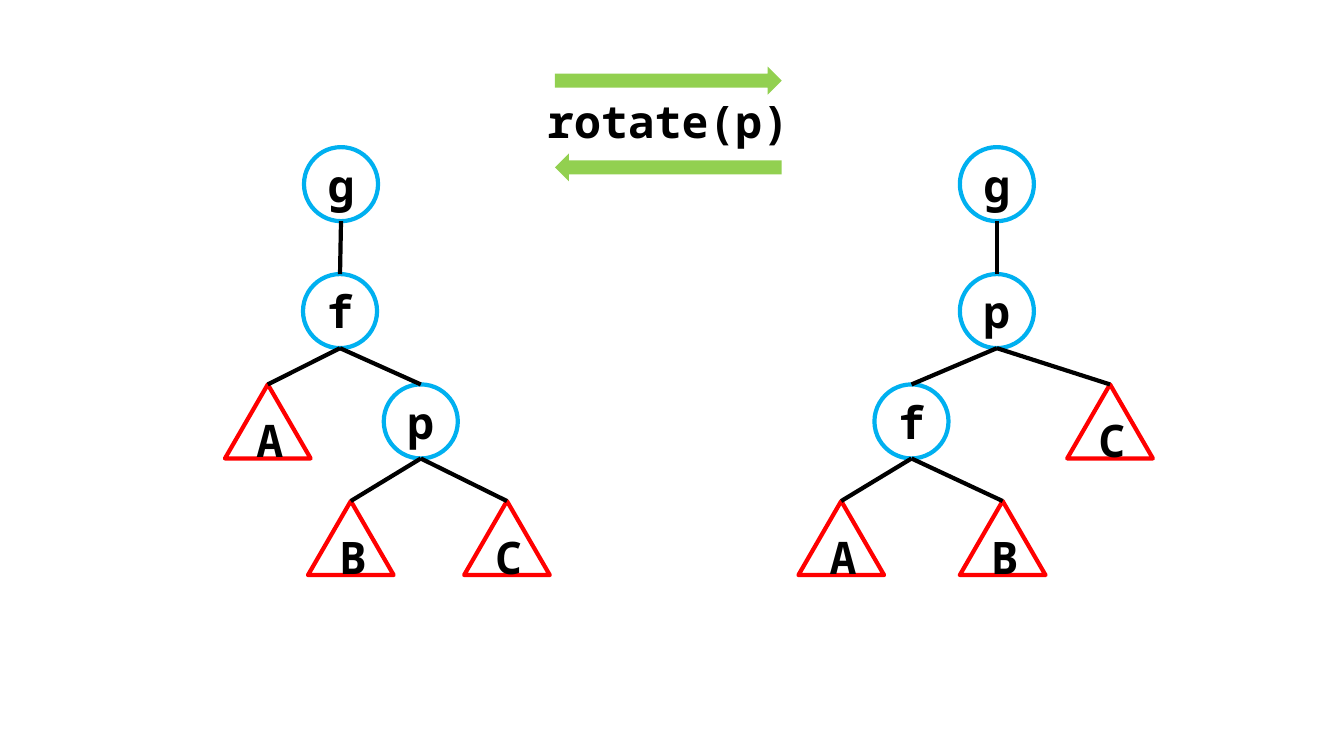
from lxml import etree
from pptx import Presentation
from pptx.dml.color import RGBColor
from pptx.enum import shapes, text
from pptx.oxml.ns import qn
from pptx.util import Pt

BLACK = RGBColor(0x00, 0x00, 0x00)
BLUE = RGBColor(0x00, 0xB0, 0xF0)
RED = RGBColor(0xFF, 0x00, 0x00)
GREEN = RGBColor(0x92, 0xD0, 0x50)
FONT = "Noto Sans Mono"

NODE_SIZE = 52.9
SUBTREE_WIDTH = 61.2
LEVEL_TOPS = (0, 90.7, 169.5, 252.8)
TREE_TOP = 105.1

# A vertex is (label, centre from the tree's left edge, children).
TREE_BEFORE = ("g", 83, [
    ("f", 82.3, [
        ("A", 30.7, []),
        ("p", 140, [("B", 90, []), ("C", 201.5, [])]),
    ]),
])
TREE_AFTER = ("g", 141.9, [
    ("p", 141.9, [
        ("f", 80.9, [("A", 30.7, []), ("B", 146, [])]),
        ("C", 222.7, []),
    ]),
])


def write_text(shape, content, size=32, bold=True, color=BLACK,
               anchor=text.MSO_ANCHOR.MIDDLE):
    shape.text_frame.vertical_anchor = anchor
    paragraph = shape.text_frame.paragraphs[0]
    paragraph.alignment = text.PP_ALIGN.CENTER
    run = paragraph.add_run()
    run.text = content
    run.font.name = FONT
    run.font.size = Pt(size)
    run.font.bold = bold
    run.font.color.rgb = color


def add_vertex(slide, label, center, top, is_leaf):
    """Draw a subtree triangle for a leaf and a circle for any other vertex."""
    if is_leaf:
        kind, width, color = shapes.MSO_SHAPE.ISOSCELES_TRIANGLE, SUBTREE_WIDTH, RED
    else:
        kind, width, color = shapes.MSO_SHAPE.OVAL, NODE_SIZE, BLUE
    shape = slide.shapes.add_shape(
        kind, Pt(center - width / 2), Pt(top), Pt(width), Pt(NODE_SIZE))
    shape.shadow.inherit = False
    shape.fill.background()
    shape.line.color.rgb = color
    shape.line.width = Pt(3)
    write_text(shape, label)
    return shape


def add_edge(slide, parent, child):
    """Join the bottom of the parent to the top of the child."""
    edge = slide.shapes.add_connector(
        shapes.MSO_CONNECTOR.STRAIGHT,
        parent.left + parent.width // 2, parent.top + parent.height,
        child.left + child.width // 2, child.top)
    edge.end_connect(child, 0)
    edge.line.color.rgb = BLACK
    edge.line.width = Pt(3)
    etree.SubElement(edge._element.spPr, qn("a:effectLst"))


def add_tree(slide, tree, left, top, level=0):
    label, center, children = tree
    vertex = add_vertex(slide, label, left + center, top + LEVEL_TOPS[level],
                        is_leaf=not children)
    for child in children:
        add_edge(slide, vertex, add_tree(slide, child, left, top, level + 1))
    return vertex


def add_rotation_label(slide, left, top, width, height):
    """Write the operation between an arrow to the right and one to the left."""
    arrow_width, arrow_height = 162, 20
    arrow_left = left + (width - arrow_width) / 2
    for kind, arrow_top in (
            (shapes.MSO_SHAPE.RIGHT_ARROW, top),
            (shapes.MSO_SHAPE.LEFT_ARROW, top + height - arrow_height)):
        arrow = slide.shapes.add_shape(
            kind, Pt(arrow_left), Pt(arrow_top), Pt(arrow_width), Pt(arrow_height))
        arrow.shadow.inherit = False
        arrow.fill.solid()
        arrow.fill.fore_color.rgb = GREEN
        arrow.line.fill.background()
    label_height = 46
    label = slide.shapes.add_textbox(
        Pt(left), Pt(top + 15.6), Pt(width), Pt(label_height))
    label.text_frame.word_wrap = True
    write_text(label, "rotate(p)", anchor=text.MSO_ANCHOR.TOP)


def main():
    presentation = Presentation()
    presentation.slide_width = Pt(960)
    presentation.slide_height = Pt(540)
    slide = presentation.slides.add_slide(presentation.slide_layouts[6])
    add_tree(slide, TREE_BEFORE, left=160.6, top=TREE_TOP)
    add_tree(slide, TREE_AFTER, left=570.2, top=TREE_TOP)
    add_rotation_label(slide, left=380.6, top=47.6, width=193.6, height=82)
    presentation.save("out.pptx")


if __name__ == "__main__":
    main()
